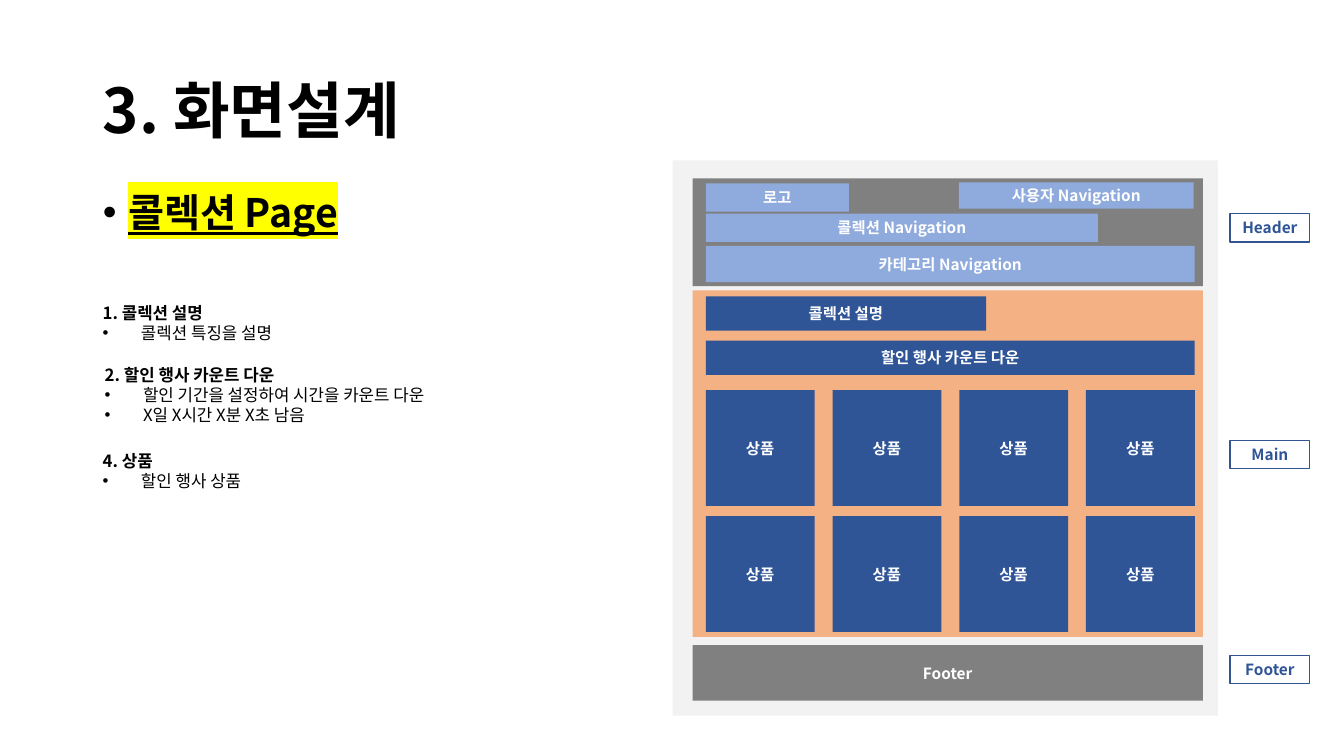
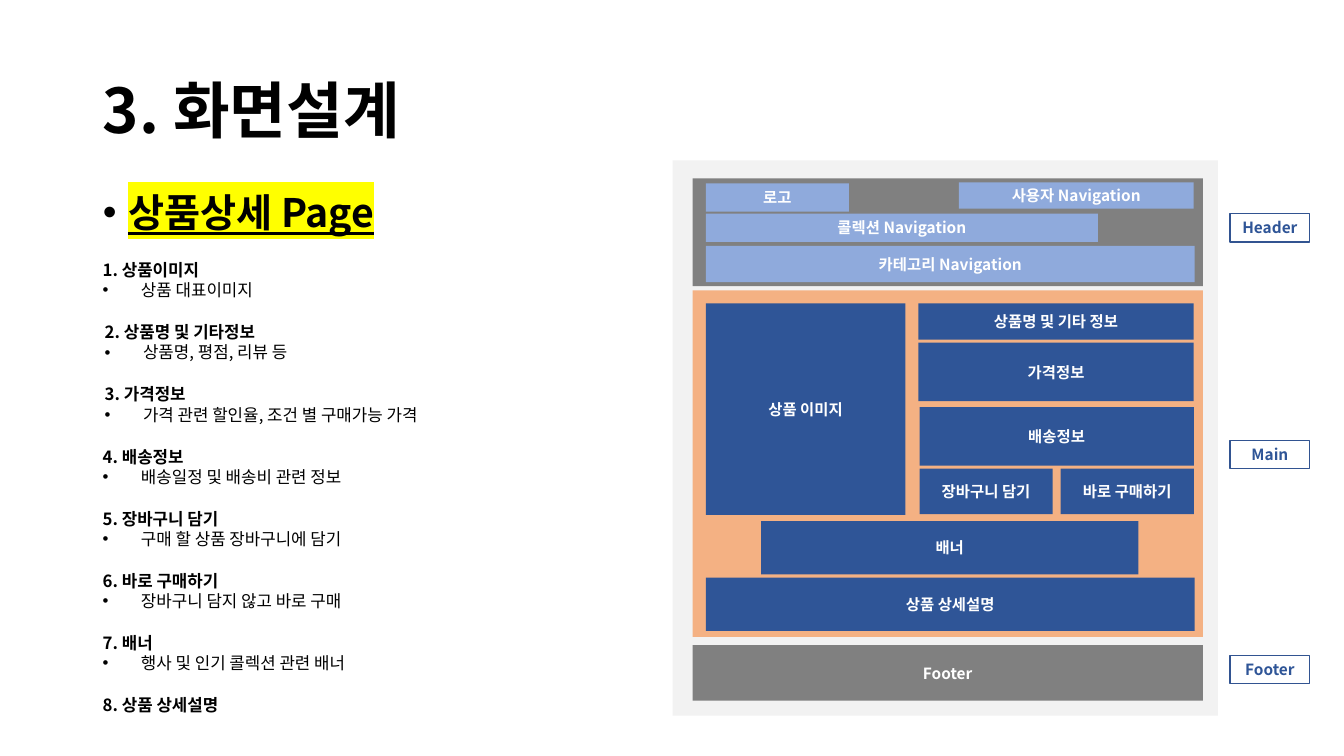
from lxml.etree import SubElement
from pptx import Presentation
from pptx.dml.color import RGBColor
from pptx.enum.shapes import MSO_SHAPE as SHAPE
from pptx.enum.text import MSO_ANCHOR as ANCHOR, MSO_AUTO_SIZE as AUTO, PP_ALIGN as ALIGN
from pptx.oxml.ns import qn
from pptx.util import Inches, Pt

FONT = "Noto Sans CJK KR"
BLACK = RGBColor(0x00, 0x00, 0x00)
WHITE = RGBColor(0xFF, 0xFF, 0xFF)
PAGE = RGBColor(0xF2, 0xF2, 0xF2)
GRAY = RGBColor(0x80, 0x80, 0x80)
ORANGE = RGBColor(0xF4, 0xB1, 0x83)
LIGHT = RGBColor(0x8F, 0xAA, 0xDC)
BLUE = RGBColor(0x2F, 0x55, 0x97)
EDGE = RGBColor(0x32, 0x54, 0x91)

TITLE = "3. 화면설계"
FRAME = [
    (6.67, 1.59, 5.41, 5.51, PAGE, ""),
    (6.87, 1.77, 5.06, 1.07, GRAY, ""),
    (7, 1.82, 1.42, 0.28, LIGHT, "로고"),
    (9.51, 1.81, 2.33, 0.26, LIGHT, "사용자 Navigation"),
    (7, 2.12, 3.89, 0.28, LIGHT, "콜렉션 Navigation"),
    (7, 2.44, 4.85, 0.36, LIGHT, "카테고리 Navigation"),
    (6.87, 2.88, 5.06, 3.44, ORANGE, ""),
    (6.87, 6.4, 5.06, 0.55, GRAY, "Footer"),
]
FRAME += [(12.2, y, 0.79, 0.28, None, name)
          for y, name in ((2.12, "Header"), (4.37, "Main"), (6.5, "Footer"))]

COLLECTION = [
    (7, 2.94, 2.78, 0.34, BLUE, "콜렉션 설명"),
    (7, 3.38, 4.85, 0.34, BLUE, "할인 행사 카운트 다운"),
]
COLLECTION += [(7 + 1.257 * col, 3.87 + 1.25 * row, 1.08, 1.15, BLUE, "상품")
               for row in range(2) for col in range(4)]

DETAIL = [
    (7, 3.01, 1.98, 2.1, BLUE, "상품 이미지"),
    (9.11, 3.01, 2.73, 0.36, BLUE, "상품명 및 기타 정보"),
    (9.11, 3.4, 2.73, 0.58, BLUE, "가격정보"),
    (9.12, 4.04, 2.72, 0.58, BLUE, "배송정보"),
    (9.12, 4.65, 1.32, 0.45, BLUE, "장바구니 담기"),
    (10.52, 4.65, 1.32, 0.45, BLUE, "바로 구매하기"),
    (7.55, 5.17, 3.74, 0.53, BLUE, "배너"),
    (7, 5.73, 4.85, 0.53, BLUE, "상품 상세설명"),
]

COLLECTION_NOTES = [
    (0.92, 2.95, "1. 콜렉션 설명", ["콜렉션 특징을 설명"]),
    (0.94, 3.57, "2. 할인 행사 카운트 다운",
     ["할인 기간을 설정하여 시간을 카운트 다운", "X일 X시간 X분 X초 남음"]),
    (0.92, 4.42, "4. 상품", ["할인 행사 상품"]),
]
DETAIL_ITEMS = [
    (0.92, "1. 상품이미지", ["상품 대표이미지"]),
    (0.94, "2. 상품명 및 기타정보", ["상품명, 평점, 리뷰 등"]),
    (0.94, "3. 가격정보", ["가격 관련 할인율, 조건 별 구매가능 가격"]),
    (0.92, "4. 배송정보", ["배송일정 및 배송비 관련 정보"]),
    (0.92, "5. 장바구니 담기", ["구매 할 상품 장바구니에 담기"]),
    (0.92, "6. 바로 구매하기", ["장바구니 담지 않고 바로 구매"]),
    (0.92, "7. 배너", ["행사 및 인기 콜렉션 관련 배너"]),
    (0.92, "8. 상품 상세설명", []),
]
DETAIL_NOTES = [(x, 2.53 + 0.616 * i, head, points)
                for i, (x, head, points) in enumerate(DETAIL_ITEMS)]

SLIDES = [
    ("콜렉션 Page", COLLECTION, COLLECTION_NOTES),
    ("상품상세 Page", DETAIL, DETAIL_NOTES),
]


def add_run(p, text, size, color=BLACK, bold=True, highlight=None):
    r = p.add_run()
    r.text = text
    r.font.size = Pt(size)
    r.font.bold = bold
    r.font.color.rgb = color
    rPr = r.font._element
    if highlight:
        r.font.underline = True
        mark = SubElement(rPr, qn("a:highlight"))
        SubElement(mark, qn("a:srgbClr"), val=highlight)
    for tag in ("a:latin", "a:ea"):
        SubElement(rPr, qn(tag), typeface=FONT)


def set_bullet(p, indent):
    pPr = p._p.get_or_add_pPr()
    pPr.set("marL", str(Inches(indent)))
    pPr.set("indent", str(-Inches(indent)))
    SubElement(pPr, qn("a:buFont"), typeface="Arial")
    SubElement(pPr, qn("a:buChar"), char="•")


prs = Presentation()
prs.slide_width, prs.slide_height = Inches(13.33), Inches(7.5)

for heading, blocks, notes in SLIDES:
    s = prs.slides.add_slide(prs.slide_layouts[1])
    title, body = s.shapes.title, s.placeholders[1]
    for sp, y, h, anchor in ((title, 0.4, 1.45, ANCHOR.MIDDLE), (body, 1.91, 0.57, ANCHOR.TOP)):
        sp.left, sp.top = Inches(0.92), Inches(y)
        sp.width, sp.height = Inches(11.5 if sp is title else 5.61), Inches(h)
        sp.text_frame.auto_size = AUTO.NONE
        sp.text_frame.vertical_anchor = anchor

    p = title.text_frame.paragraphs[0]
    p.alignment = ALIGN.LEFT
    p.line_spacing = 0.9
    add_run(p, TITLE, 44)

    p = body.text_frame.paragraphs[0]
    p.line_spacing = 0.8
    p.space_before = Pt(0)
    set_bullet(p, 0.25)
    add_run(p, heading, 28, highlight="FFFF00")

    for x, y, w, h, fill, text in FRAME + blocks:
        sp = s.shapes.add_shape(SHAPE.RECTANGLE, Inches(x), Inches(y), Inches(w), Inches(h))
        sp.shadow.inherit = False
        if fill is None:
            sp.fill.background()
            sp.line.color.rgb = EDGE
            sp.line.width = Pt(1)
        else:
            sp.fill.solid()
            sp.fill.fore_color.rgb = fill
            sp.line.fill.background()
        if text:
            tf = sp.text_frame
            tf.vertical_anchor = ANCHOR.MIDDLE
            p = tf.paragraphs[0]
            p.alignment = ALIGN.CENTER
            add_run(p, text, 11, BLUE if fill is None else WHITE)

    for x, y, head, points in notes:
        height = 0.3 + 0.2 * len(points)
        tf = s.shapes.add_textbox(Inches(x), Inches(y), Inches(5.61), Inches(height)).text_frame
        tf.word_wrap = True
        p = tf.paragraphs[0]
        p.line_spacing = Pt(14.4)
        add_run(p, head, 12)
        for point in points:
            p = tf.add_paragraph()
            p.line_spacing = Pt(14.4)
            set_bullet(p, 0.38)
            add_run(p, point, 12, bold=False)

prs.save("out.pptx")
